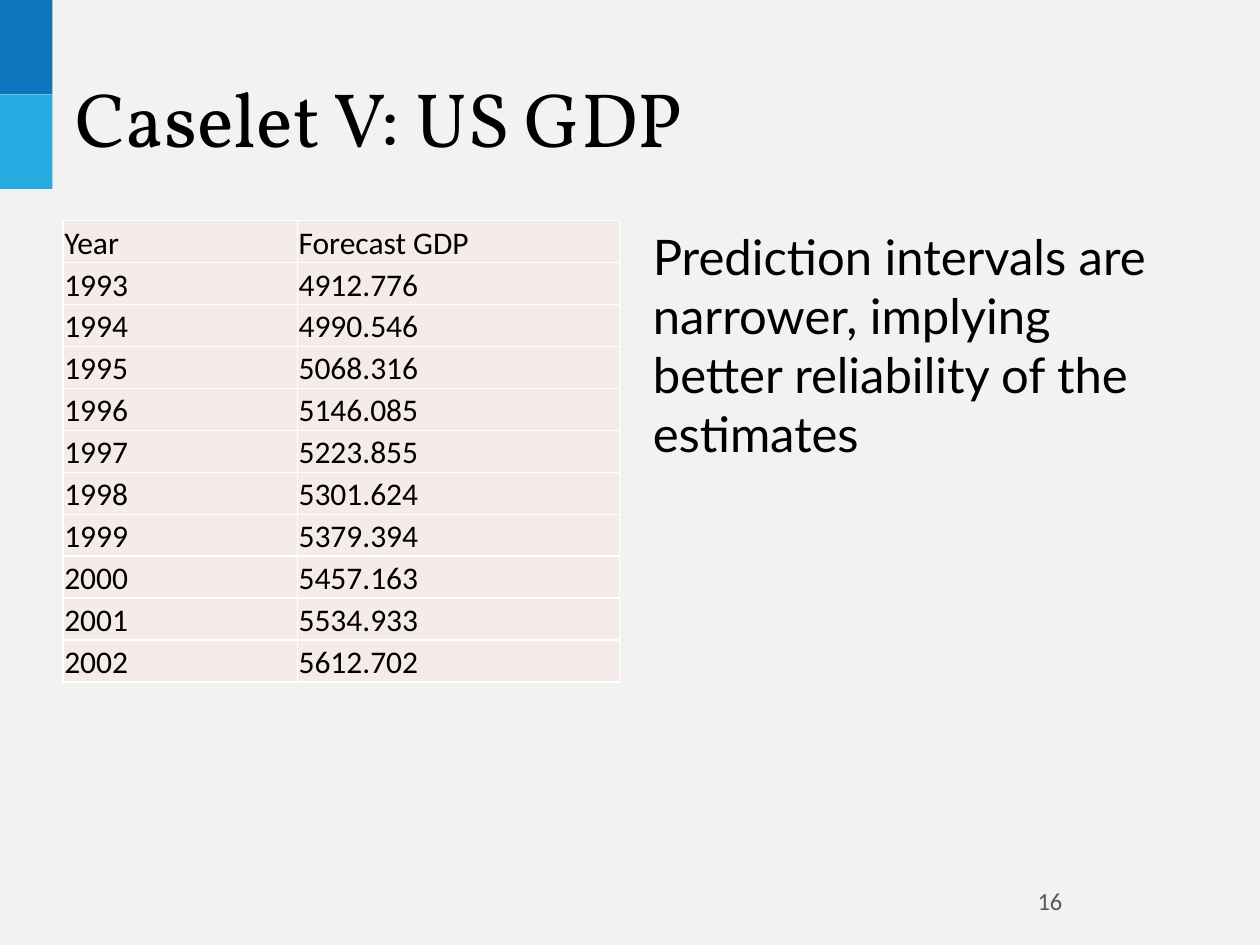
import pptx
import pptx.util
import pptx.dml.color
import pptx.enum.shapes
import pptx.enum.text
import pptx.oxml
import pptx.oxml.ns

Pt = pptx.util.Pt
RGBColor = pptx.dml.color.RGBColor
ANCHOR = pptx.enum.text.MSO_ANCHOR
ALIGN = pptx.enum.text.PP_ALIGN

BACKGROUND = RGBColor(0xF2, 0xF2, 0xF2)
DARK_BLUE = RGBColor(0x0F, 0x75, 0xBD)
LIGHT_BLUE = RGBColor(0x25, 0xAA, 0xE2)
CELL_FILL = RGBColor(0xF5, 0xEB, 0xE9)
BLACK = RGBColor(0, 0, 0)
GREY = RGBColor(0x59, 0x59, 0x59)

FORECAST = [
    ("Year", "Forecast GDP"),
    ("1993", "4912.776"),
    ("1994", "4990.546"),
    ("1995", "5068.316"),
    ("1996", "5146.085"),
    ("1997", "5223.855"),
    ("1998", "5301.624"),
    ("1999", "5379.394"),
    ("2000", "5457.163"),
    ("2001", "5534.933"),
    ("2002", "5612.702"),
]


def write(tf, text, *, size, font, color=BLACK, align=ALIGN.LEFT, before=0):
    p = tf.paragraphs[0]
    p.alignment = align
    p.space_before = Pt(before)
    r = p.add_run()
    r.text = text
    r.font.size = Pt(size)
    r.font.name = font
    r.font.color.rgb = color


def add_side_band(s, x, y, w, h):
    colors = (DARK_BLUE, LIGHT_BLUE)
    block_h = h / len(colors)
    for i, color in enumerate(colors):
        sp = s.shapes.add_shape(
            pptx.enum.shapes.MSO_SHAPE.RECTANGLE,
            Pt(x), Pt(y + i * block_h), Pt(w), Pt(block_h))
        sp.shadow.inherit = False
        sp.fill.solid()
        sp.fill.fore_color.rgb = color
        sp.line.fill.background()


def add_title(s, x, y, w, h):
    sp = s.shapes.title
    sp.left, sp.top, sp.width, sp.height = Pt(x), Pt(y), Pt(w), Pt(h)
    sp.text_frame.vertical_anchor = ANCHOR.MIDDLE
    write(sp.text_frame, "Caselet V: US GDP", size=44, font="Vollkorn")


def set_borders(cell, color, width):
    # Borders must come before the fill in the cell properties
    tc_pr = cell._tc.get_or_add_tcPr()
    for i, side in enumerate(("lnL", "lnR", "lnT", "lnB")):
        tc_pr.insert(i, pptx.oxml.parse_xml(
            f'<a:{side} {pptx.oxml.ns.nsdecls("a")} w="{Pt(width)}">'
            f'<a:solidFill><a:srgbClr val="{color}"/></a:solidFill></a:{side}>'))


def add_forecast_table(s, x, y, w, h):
    first_col = 133.9
    table = s.shapes.add_table(
        len(FORECAST), 2, Pt(x), Pt(y), Pt(w), Pt(h)).table
    for col, col_w in zip(table.columns, (first_col, w - first_col)):
        col.width = Pt(col_w)
    for row, values in zip(table.rows, FORECAST):
        row.height = Pt(h / len(FORECAST))
        for cell, value in zip(row.cells, values):
            cell.margin_left = cell.margin_right = cell.margin_top = Pt(0.75)
            cell.margin_bottom = 0
            cell.vertical_anchor = ANCHOR.BOTTOM
            cell.fill.solid()
            cell.fill.fore_color.rgb = CELL_FILL
            set_borders(cell, "FFFFFF", 1)
            write(cell.text_frame, value, size=18, font="Calibri")


def add_text_box(s, x, y, w, h, text, anchor=ANCHOR.TOP, **style):
    tf = s.shapes.add_textbox(Pt(x), Pt(y), Pt(w), Pt(h)).text_frame
    tf.word_wrap = True
    tf.vertical_anchor = anchor
    write(tf, text, **style)


def main():
    prs = pptx.Presentation()
    prs.slide_width, prs.slide_height = Pt(720), Pt(540)
    s = prs.slides.add_slide(prs.slide_layouts.get_by_name("Title Only"))
    s.background.fill.solid()
    s.background.fill.fore_color.rgb = BACKGROUND

    add_side_band(s, 0, 0, 30, 108)
    add_title(s, 36, 21.6, 648, 90)
    add_forecast_table(s, 36, 126, 318, 264)
    # Comment beside the table
    add_text_box(
        s, 366, 126, 318, 356.4,
        "Prediction intervals are narrower, implying better reliability "
        "of the estimates", size=28, font="Lato", before=5.6)
    # Page number
    add_text_box(s, 516, 500.5, 168, 28.75, "16", anchor=ANCHOR.MIDDLE,
                 size=14, font="Calibri", color=GREY, align=ALIGN.CENTER)

    prs.save("out.pptx")


if __name__ == "__main__":
    main()
